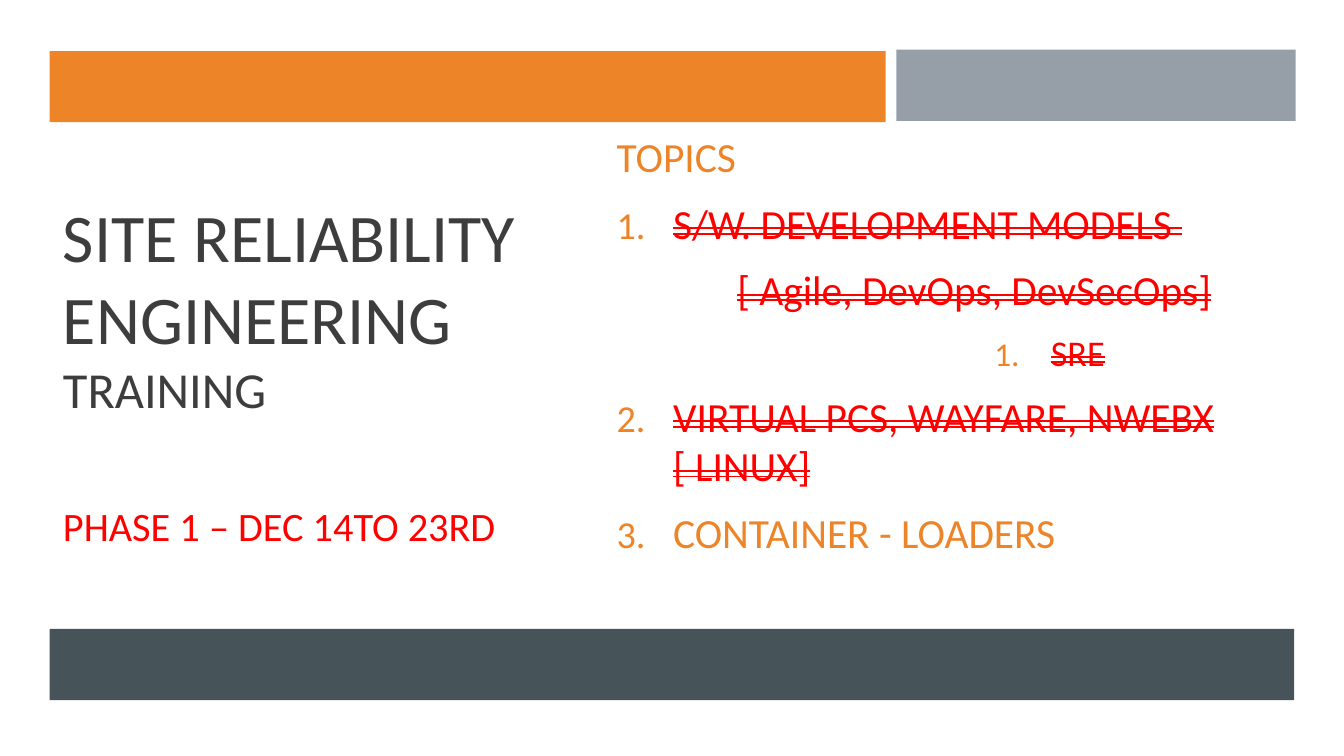
from dataclasses import dataclass

from lxml import etree
from pptx import Presentation
from pptx.dml.color import RGBColor
from pptx.enum.shapes import MSO_SHAPE
from pptx.enum.text import MSO_ANCHOR, PP_ALIGN
from pptx.oxml.ns import qn
from pptx.util import Inches, Pt

RECTANGLE = MSO_SHAPE.RECTANGLE
MIDDLE = MSO_ANCHOR.MIDDLE
LEFT, CENTER = PP_ALIGN.LEFT, PP_ALIGN.CENTER
PAGE_WIDTH = 10
PAGE_HEIGHT = PAGE_WIDTH * 9 / 16


@dataclass(frozen=True)
class Theme:
    font: str = "Calibri"
    white: str = "FFFFFF"
    ink: str = "3D3D3D"
    orange: str = "ED8428"
    gray: str = "969FA7"
    slate: str = "465359"
    red: str = "FF0000"
    title_size: float = 36.5
    subtitle_size: float = 27
    phase_size: float = 21.6
    topic_size: float = 22.2
    detail_size: float = 19.4


class SlideBuilder:
    def __init__(self, slide, theme):
        self.slide = slide
        self.theme = theme

    def bar(self, left, top, width, height, color):
        shape = self.slide.shapes.add_shape(
            RECTANGLE, Inches(left), Inches(top), Inches(width), Inches(height))
        shape.shadow.inherit = False
        shape.fill.solid()
        shape.fill.fore_color.rgb = RGBColor.from_string(color)
        shape.line.fill.background()

    def text_box(self, left, top, width, height, bottom_inset=0.05):
        box = self.slide.shapes.add_textbox(
            Inches(left), Inches(top), Inches(width), Inches(height))
        frame = box.text_frame
        frame.word_wrap = True
        frame.vertical_anchor = MIDDLE
        frame.margin_bottom = Inches(bottom_inset)
        return frame

    def paragraph(self, frame, before=0, after=0, align=LEFT):
        first = frame.paragraphs[0]
        para = first if not first.runs else frame.add_paragraph()
        para.alignment = align
        para.space_before, para.space_after = Pt(before), Pt(after)
        return para

    def span(self, para, text, size, color, struck=False):
        span = para.add_run()
        span.text = text
        span.font.name = self.theme.font
        span.font.size = Pt(size)
        span.font.color.rgb = RGBColor.from_string(color)
        if struck:
            span.font._element.set("strike", "dblStrike")

    def indent(self, para, margin, hanging, numbered):
        properties = para._p.get_or_add_pPr()
        properties.set("marL", str(Inches(margin)))
        properties.set("indent", str(-Inches(hanging)))
        if numbered:
            color = etree.SubElement(properties, qn("a:buClr"))
            etree.SubElement(color, qn("a:srgbClr"), val=self.theme.orange)
            etree.SubElement(properties, qn("a:buSzPct"), val="92000")
            etree.SubElement(properties, qn("a:buFont"), typeface="+mj-lt")
            etree.SubElement(properties, qn("a:buAutoNum"), type="arabicPeriod")

    def topic(self, frame, text, size, color, struck=False, level=0,
              margin=0, numbered=False):
        align = CENTER if level else LEFT
        para = self.paragraph(frame, before=4.4, after=4.5, align=align)
        para.level = level
        self.indent(para, margin, 0.42 if numbered else 0, numbered)
        self.span(para, text, size, color, struck)


def main():
    theme = Theme()
    deck = Presentation()
    deck.slide_width, deck.slide_height = Inches(PAGE_WIDTH), Inches(PAGE_HEIGHT)
    page = SlideBuilder(deck.slides.add_slide(deck.slide_layouts[6]), theme)

    # Backdrop
    page.bar(0, 0, PAGE_WIDTH, PAGE_HEIGHT, theme.white)

    # Title and phase
    title = page.text_box(0.37, 1.27, 4.12, 3)
    heading = page.paragraph(title)
    page.span(heading, "SITE RELIABILITY ENGINEERING ", theme.title_size, theme.ink)
    page.span(heading, "TRAINING", theme.subtitle_size, theme.ink)
    phase = page.paragraph(title, before=44.5)
    page.span(phase, "PHASE 1 – DEC 14TO 23RD", theme.phase_size, theme.red)

    # Topics: finished ones are red and struck through
    topics = page.text_box(4.49, 1.27, 5.14, 3, bottom_inset=0.47)
    size = theme.topic_size
    done = {"color": theme.red, "struck": True}
    numbered = {"margin": 0.42, "numbered": True}
    page.topic(topics, "TOPICS", size, theme.orange)
    page.topic(topics, "S/W. DEVELOPMENT MODELS ", size, **done, **numbered)
    page.topic(topics, "[ Agile, DevOps, DevSecOps]", size, **done,
               level=1, margin=0.38)
    page.topic(topics, "SRE", theme.detail_size, **done,
               level=4, margin=1.92, numbered=True)
    page.topic(topics, "VIRTUAL PCS, WAYFARE, NWEBX [ LINUX]", size,
               **done, **numbered)
    page.topic(topics, "CONTAINER - LOADERS", size, theme.orange, **numbered)

    # Colour bars
    page.bar(0.37, 0.38, 6.22, 0.53, theme.orange)
    page.bar(6.67, 0.37, 2.97, 0.53, theme.gray)
    page.bar(0.37, 4.68, 9.26, 0.53, theme.slate)

    deck.save("out.pptx")


if __name__ == "__main__":
    main()
